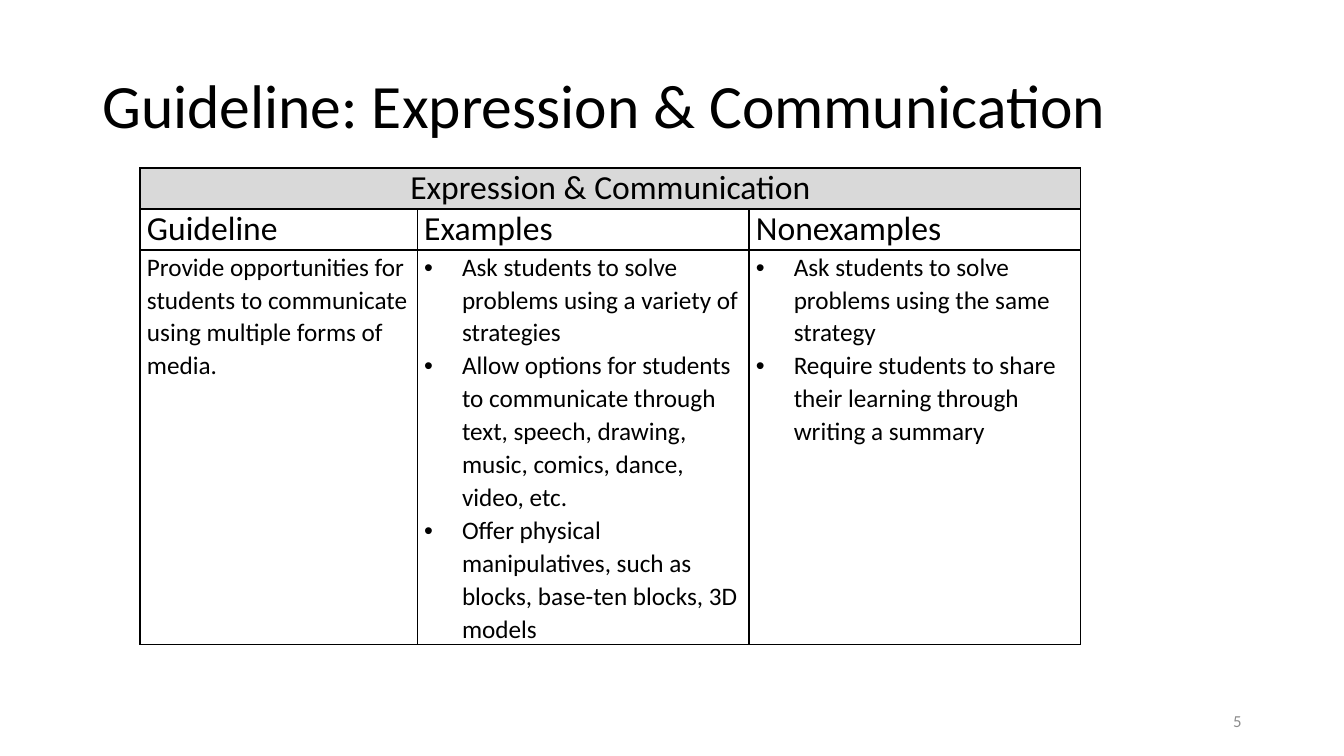
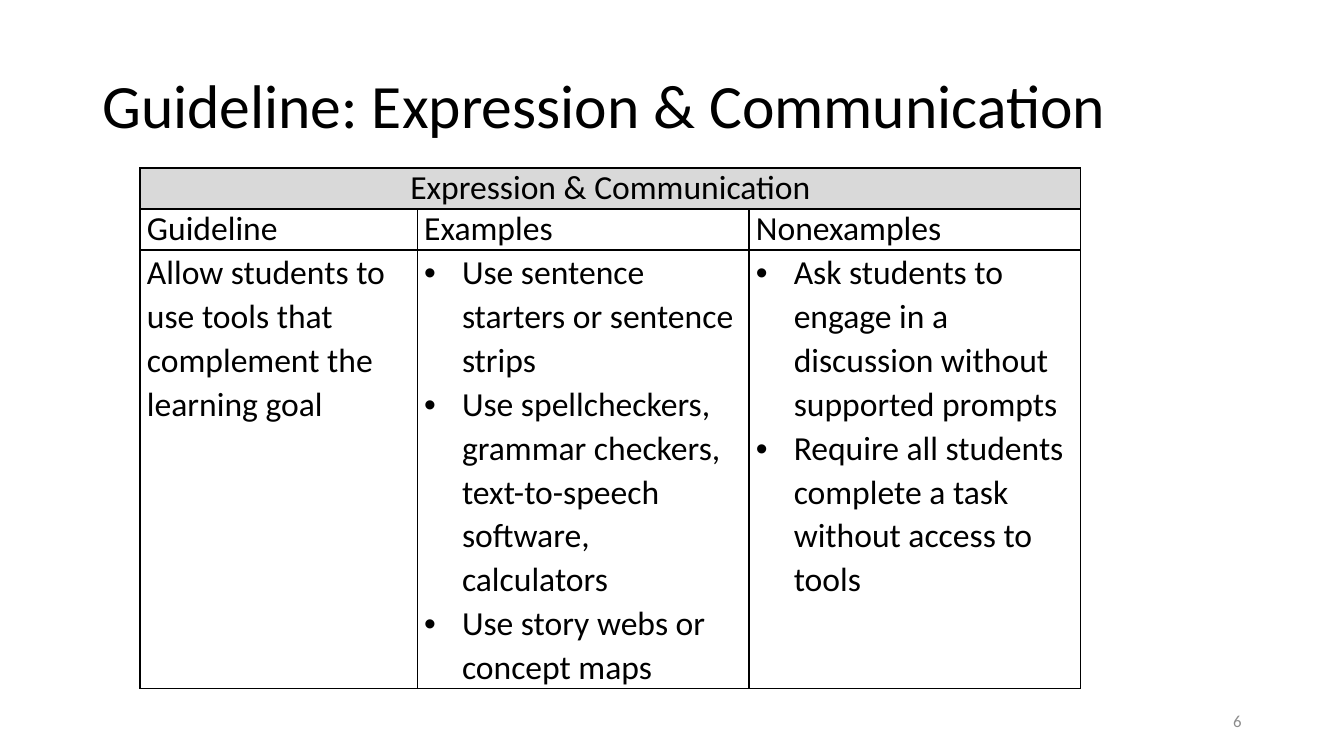
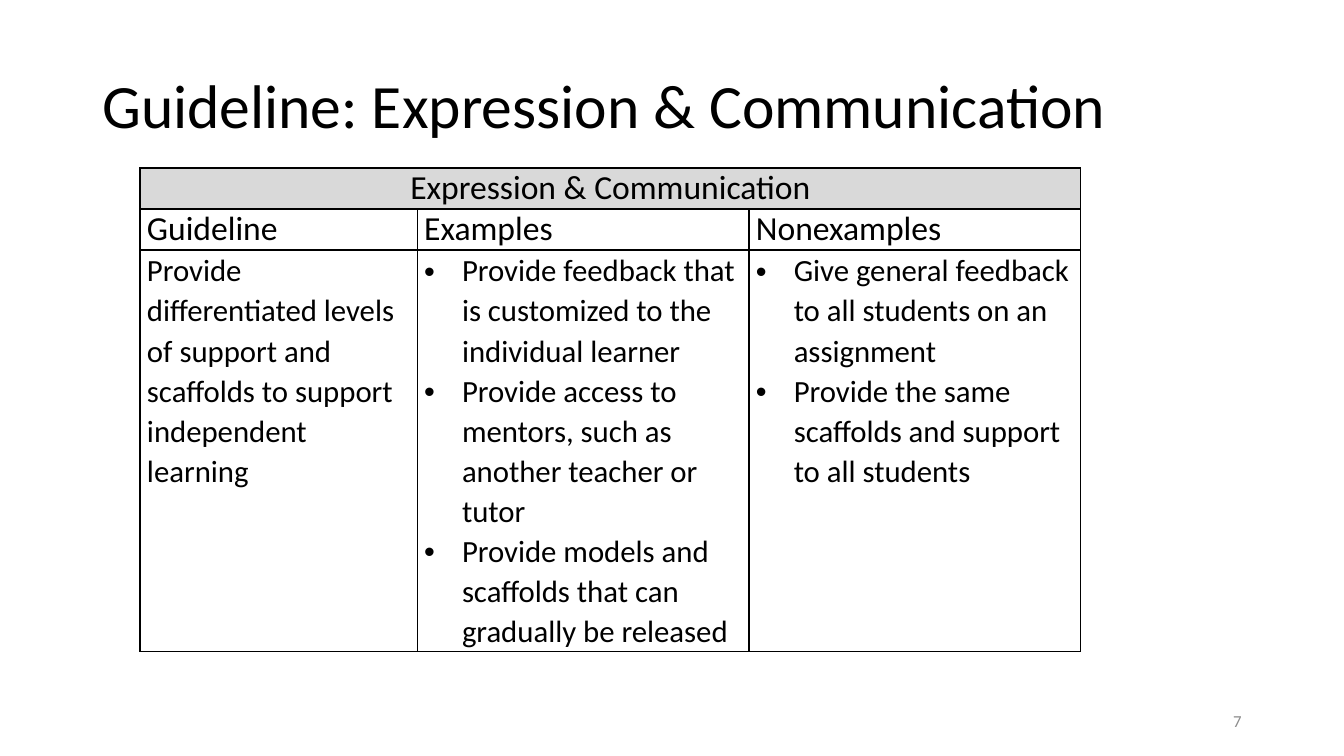
from pptx import Presentation
from pptx.dml.color import RGBColor
from pptx.enum.text import MSO_ANCHOR as Anchor, PP_ALIGN as Align
from pptx.oxml.ns import qn
from pptx.util import Pt
from lxml.etree import SubElement as Sub

# Shared look
FONT = "Calibri"
BLACK, GREY, SHADE = "000000", "8C8C8C", "D9D9D9"
TITLE = "Guideline: Expression & Communication"
TOPIC = "Expression & Communication"
HEADS = ["Guideline", "Examples", "Nonexamples"]
COLS = [198, 237, 237]
HEAD = 29.3      # height of the two heading rows
HANG = 27        # hanging indent of the bullets
FIRST = 5        # number of the first page

# Body size, body row height, guideline, examples, nonexamples
PAGES = [
    (18, 282,
     "Provide opportunities for students to communicate using multiple "
     "forms of media.",
     ["Ask students to solve problems using a variety of strategies",
      "Allow options for students to communicate through text, speech, "
      "drawing, music, comics, dance, video, etc.",
      "Offer physical manipulatives, such as blocks, base-ten blocks, "
      "3D models"],
     ["Ask students to solve problems using the same strategy",
      "Require students to share their learning through writing a summary"]),
    (24, 313,
     "Allow students to use tools that complement the learning goal",
     ["Use sentence starters or sentence strips",
      "Use spellcheckers, grammar checkers, text-to-speech software, "
      "calculators",
      "Use story webs or concept maps"],
     ["Ask students to engage in a discussion without supported prompts",
      "Require all students complete a task without access to tools"]),
    (22, 287,
     "Provide differentiated levels of support and scaffolds to support "
     "independent learning",
     ["Provide feedback that is customized to the individual learner",
      "Provide access to mentors, such as another teacher or tutor",
      "Provide models and scaffolds that can gradually be released"],
     ["Give general feedback to all students on an assignment",
      "Provide the same scaffolds and support to all students"]),
]


def color(code):
    return RGBColor.from_string(code)


def bullet(para):
    props = para._p.get_or_add_pPr()
    props.set("marL", str(Pt(HANG)))
    props.set("indent", str(-Pt(HANG)))
    Sub(props, qn("a:buFont"), typeface="Arial")
    Sub(props, qn("a:buChar"), char="•")


def write(frame, lines, size, tint=BLACK, dots=False, **form):
    """Fill a text frame; form holds paragraph attributes."""
    for i, line in enumerate(lines):
        para = frame.add_paragraph() if i else frame.paragraphs[0]
        for name, value in form.items():
            setattr(para, name, value)
        if dots:
            bullet(para)
        run = para.add_run()
        run.text = line
        look = {"name": FONT, "size": Pt(size)}
        for name, value in look.items():
            setattr(run.font, name, value)
        run.font.color.rgb = color(tint)


def label(slide, box, text, size, **form):
    frame = slide.shapes.add_textbox(*map(Pt, box)).text_frame
    frame.word_wrap = True
    frame.vertical_anchor = Anchor.MIDDLE
    write(frame, [text], size, **form)


def border(cell):
    props = cell._tc.get_or_add_tcPr()
    for side in ("lnL", "lnR", "lnT", "lnB"):
        line = Sub(props, qn("a:" + side), w=str(Pt(1)))
        fill = Sub(line, qn("a:solidFill"))
        Sub(fill, qn("a:srgbClr"), val=BLACK)


def style(cell):
    edges = {"margin_left": 5, "margin_right": 5,
             "margin_top": 0, "margin_bottom": 0}
    for name, value in edges.items():
        setattr(cell, name, Pt(value))
    border(cell)
    cell.fill.background()


def grid(slide, size, tall, guide, good, bad):
    rows = [HEAD, HEAD, tall]
    box = (100, 120, sum(COLS), sum(rows))
    table = slide.shapes.add_table(3, 3, *map(Pt, box)).table
    table.first_row = table.horz_banding = False
    for col, width in zip(table.columns, COLS):
        col.width = Pt(width)
    for row, height in zip(table.rows, rows):
        row.height = Pt(height)
    for cell in table.iter_cells():
        style(cell)

    # Topic band across all columns
    band = table.cell(0, 0)
    band.merge(table.cell(0, 2))
    band.fill.solid()
    band.fill.fore_color.rgb = color(SHADE)
    write(band.text_frame, [TOPIC], 24, alignment=Align.CENTER)

    # Column heads and body
    for i, (head, lines) in enumerate(zip(HEADS, ([guide], good, bad))):
        write(table.cell(1, i).text_frame, [head], 24)
        write(table.cell(2, i).text_frame, lines, size, dots=i > 0,
              line_spacing=1.07)


def main():
    deck = Presentation()
    deck.slide_width, deck.slide_height = Pt(960), Pt(540)
    for num, page in enumerate(PAGES, FIRST):
        slide = deck.slides.add_slide(deck.slide_layouts[6])
        label(slide, (66, 25, 828, 104.4), TITLE, 44, line_spacing=0.9)
        grid(slide, *page)
        label(slide, (678, 500.5, 216, 28.8), str(num), 12, tint=GREY,
              alignment=Align.RIGHT)
    deck.save("out.pptx")


if __name__ == "__main__":
    main()
